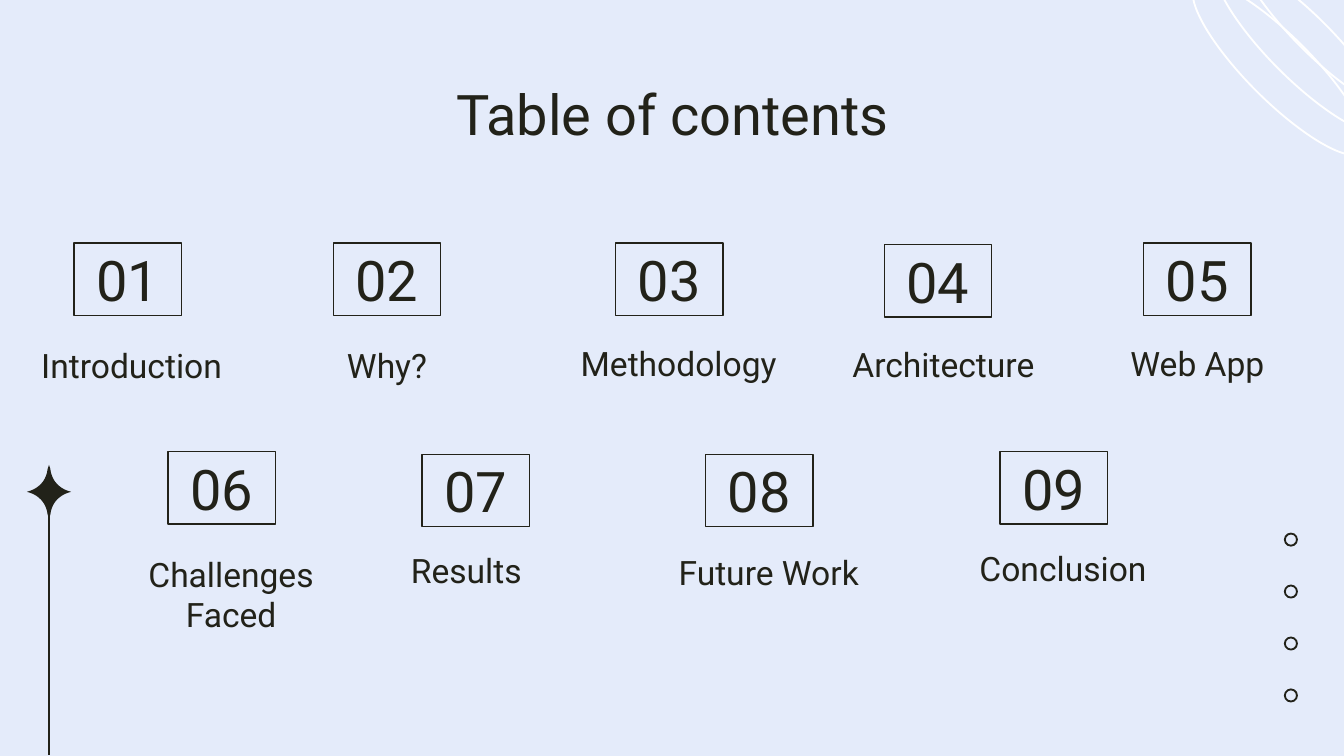
from dataclasses import dataclass

from lxml import etree
from pptx import Presentation
from pptx.dml.color import RGBColor
from pptx.enum.shapes import MSO_CONNECTOR, MSO_SHAPE
from pptx.enum.text import MSO_ANCHOR, MSO_AUTO_SIZE, PP_ALIGN
from pptx.oxml.ns import qn
from pptx.util import Inches, Pt


@dataclass(frozen=True)
class Theme:
    background: RGBColor = RGBColor.from_string("E4EBFA")
    ink: RGBColor = RGBColor.from_string("222219")
    white: RGBColor = RGBColor.from_string("FFFFFF")
    font: str = "Roboto"
    heading_size: int = 30
    label_size: int = 18
    box_line: float = 0.75
    ornament_line: float = 1


THEME = Theme()
BOX_SIZE = (0.8, 0.54)
LABEL_SIZE = (1.9, 0.54)

# Number, box left and top, label centre and top, label lines
TOPICS = [
    ("01", 0.55, 1.81, 0.98, 2.45, ["Introduction"]),
    ("02", 2.48, 1.81, 2.88, 2.45, ["Why?"]),
    ("03", 4.58, 1.81, 5.05, 2.43, ["Methodology"]),
    ("04", 6.58, 1.82, 7.02, 2.44, ["Architecture"]),
    ("05", 8.51, 1.81, 8.91, 2.43, ["Web App"]),
    ("06", 1.25, 3.36, 1.72, 4.15, ["Challenges", "Faced"]),
    ("07", 3.14, 3.38, 3.47, 3.97, ["Results"]),
    ("08", 5.25, 3.38, 5.72, 3.99, ["Future Work"]),
    ("09", 7.44, 3.36, 7.91, 3.96, ["Conclusion"]),
]


def inches(*lengths):
    return [Inches(length) for length in lengths]


def write_text(shape, lines, size, anchor=MSO_ANCHOR.MIDDLE):
    frame = shape.text_frame
    frame_format = {"word_wrap": True, "auto_size": MSO_AUTO_SIZE.NONE,
                    "vertical_anchor": anchor}
    for side in ("left", "top", "right", "bottom"):
        frame_format[f"margin_{side}"] = Inches(0.1)
    for name, value in frame_format.items():
        setattr(frame, name, value)
    frame.text = "\n".join(lines)
    for paragraph in frame.paragraphs:
        paragraph.alignment = PP_ALIGN.CENTER
        for name, value in {"name": THEME.font, "size": Pt(size)}.items():
            setattr(paragraph.font, name, value)
        paragraph.font.color.rgb = THEME.ink


def add_outline(slide, preset, box, color, width):
    shape = slide.shapes.add_shape(preset, *inches(*box))
    shape.shadow.inherit = False
    shape.fill.background()
    shape.line.color.rgb = color
    shape.line.width = Pt(width)
    return shape


def add_title(slide, box, text):
    title = slide.shapes.title
    for name, value in zip(("left", "top", "width", "height"), inches(*box)):
        setattr(title, name, value)
    write_text(title, [text], THEME.heading_size, MSO_ANCHOR.TOP)


def add_topic(slide, left, top, number, label_center, label_top, lines):
    box = add_outline(slide, MSO_SHAPE.RECTANGLE, (left, top, *BOX_SIZE),
                      THEME.ink, THEME.box_line)
    write_text(box, [number], THEME.heading_size)
    width, height = LABEL_SIZE
    label = slide.shapes.add_textbox(
        *inches(label_center - width / 2, label_top, width, height))
    write_text(label, lines, THEME.label_size)


def curve(points, steps=10):
    """Points along a cubic Bezier curve."""
    for step in range(steps + 1):
        t = step / steps
        weights = ((1 - t) ** 3, 3 * t * (1 - t) ** 2, 3 * t * t * (1 - t), t ** 3)
        yield tuple(sum(w * p[axis] for w, p in zip(weights, points))
                    for axis in (0, 1))


def add_star_stem(slide, box):
    left, top, width, height = box
    center_x, center_y = left + width / 2, top + 0.2
    # Stem
    stem = slide.shapes.add_connector(
        MSO_CONNECTOR.STRAIGHT,
        *inches(center_x, center_y, center_x, top + height))
    stem.line.color.rgb = THEME.ink
    stem.line.width = Pt(THEME.ornament_line)
    etree.SubElement(stem._element.spPr, qn("a:effectLst"))
    # Star: one quarter, mirrored around the centre
    reach = width / 2
    quarter = [(0, 0.2), *curve([(0.01, 0.17), (0.02, 0.08), (0.08, 0.02), (reach, 0)])]
    outline = []
    for sign_x, sign_y in ((1, -1), (1, 1), (-1, 1), (-1, -1)):
        points = quarter if sign_x == -sign_y else quarter[::-1]
        outline += [(Inches(center_x + sign_x * x), Inches(center_y + sign_y * y))
                    for x, y in points]
    builder = slide.shapes.build_freeform(*outline[0])
    builder.add_line_segments(outline[1:], close=True)
    star = builder.convert_to_shape()
    star.shadow.inherit = False
    star.fill.solid()
    star.fill.fore_color.rgb = THEME.ink
    star.line.fill.background()


def add_corner_ellipses(slide, box, count=3, shift=0.165):
    left, top, width, height = box
    for index in range(count):
        ellipse = add_outline(
            slide, MSO_SHAPE.OVAL,
            (left + index * shift, top - index * shift, width, height),
            THEME.white, THEME.ornament_line)
        ellipse.rotation = 45


def add_dot_column(slide, box, count=4):
    left, top, size, height = box
    pitch = (height - size) / (count - 1)
    for index in range(count):
        add_outline(slide, MSO_SHAPE.OVAL, (left, top + index * pitch, size, size),
                    THEME.ink, THEME.ornament_line)


def main():
    presentation = Presentation()
    presentation.slide_width, presentation.slide_height = inches(10, 5.625)
    slide = presentation.slides.add_slide(presentation.slide_layouts[5])
    slide.background.fill.solid()
    slide.background.fill.fore_color.rgb = THEME.background

    # Ornaments
    add_star_stem(slide, (0.2, 3.46, 0.33, 2.16))
    add_corner_ellipses(slide, (8.64, 0.27, 1.76, 0.48))
    add_dot_column(slide, (9.56, 3.97, 0.09, 1.25))

    # Contents
    add_title(slide, (0.79, 0.49, 8.43, 0.63), "Table of contents")
    for number, left, top, label_center, label_top, lines in TOPICS:
        add_topic(slide, left, top, number, label_center, label_top, lines)

    presentation.save("out.pptx")


if __name__ == "__main__":
    main()
